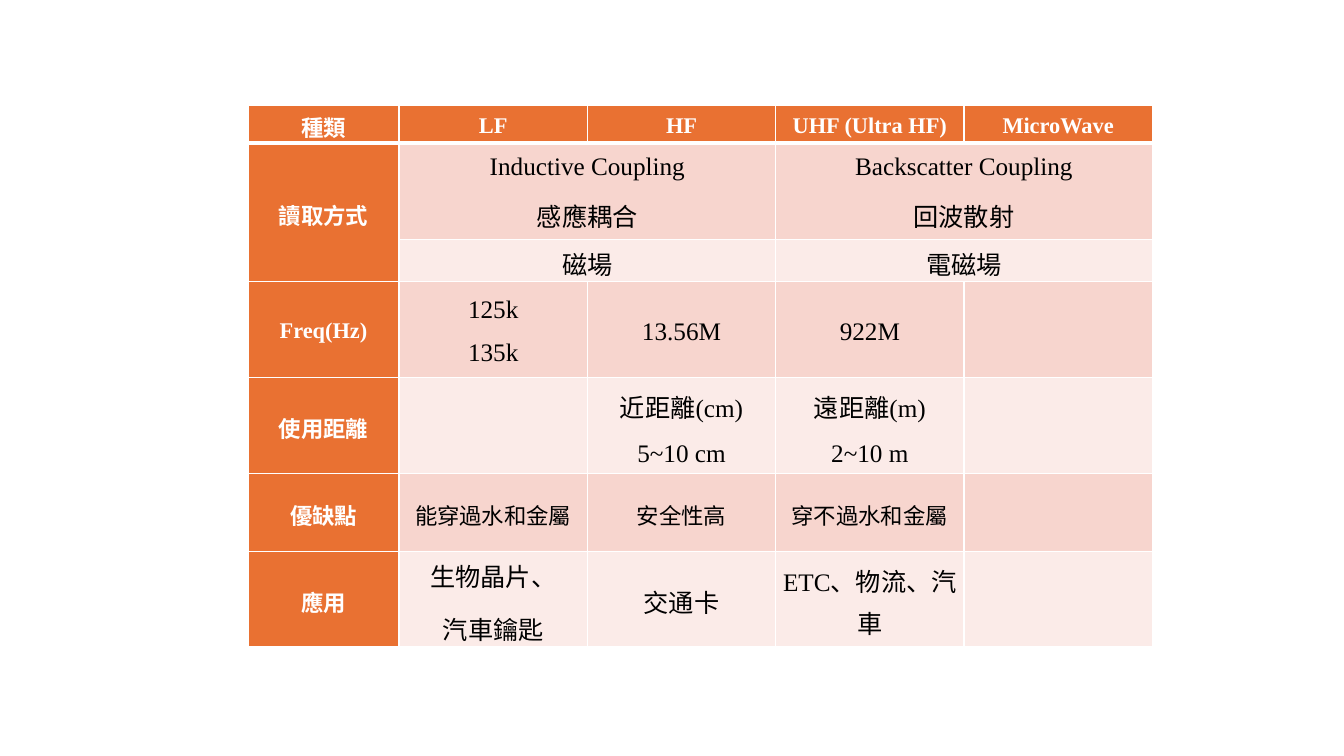
import pptx
import pptx.dml.color
import pptx.enum.text
import pptx.oxml
import pptx.oxml.ns
import pptx.util
from pptx.util import Inches

FONT = "Times New Roman"
WHITE, BLACK = "FFFFFF", "000000"
HEADING_FILL, DARK_BAND, LIGHT_BAND = "E97132", "F7D5CE", "FBEBE8"

COLUMN_WIDTHS = [1.5] + [1.87] * 4
ROW_HEIGHTS = [0.37, 0.95, 0.37, 0.95, 0.95, 0.77, 0.77]
ROWS = [
    ["種類", "LF", "HF", "UHF (Ultra HF)", "MicroWave"],
    ["讀取方式", "Inductive Coupling\n感應耦合", "", "Backscatter Coupling\n回波散射", ""],
    ["", "磁場", "", "電磁場", ""],
    ["Freq(Hz)", "125k\n135k", "13.56M", "922M", ""],
    ["使用距離", "", "近距離(cm)\n5~10 cm", "遠距離(m)\n2~10 m", ""],
    ["優缺點", "能穿過水和金屬", "安全性高", "穿不過水和金屬", ""],
    ["應用", "生物晶片、\n汽車鑰匙", "交通卡", "ETC、物流、汽車", ""],
]
MERGES = [((1, 0), (2, 0))] + [
    ((row, column), (row, column + 1)) for row in (1, 2) for column in (1, 3)
]
PROS_AND_CONS_ROW = 5


def color(value):
    return pptx.dml.color.RGBColor.from_string(value)


def write_text(text_frame, text, size, font_color, bold=False):
    """Write each line of the text as one centred paragraph."""
    for index, line in enumerate(text.split("\n")):
        paragraph = text_frame.add_paragraph() if index else text_frame.paragraphs[0]
        paragraph.alignment = pptx.enum.text.PP_ALIGN.CENTER
        paragraph.line_spacing = 1.15
        paragraph.space_after = pptx.util.Pt(8)
        run = paragraph.add_run()
        run.text = line
        run.font.name = FONT
        run.font.size = pptx.util.Pt(size)
        run.font.bold = bold
        run.font.color.rgb = color(font_color)


def set_borders(cell, top=1, bottom=1):
    """Draw white borders, with widths in points."""
    properties = cell._tc.get_or_add_tcPr()
    widths = {"lnL": 1, "lnR": 1, "lnT": top, "lnB": bottom}
    for position, (side, width) in enumerate(widths.items()):
        border = pptx.oxml.parse_xml(
            f'<a:{side} {pptx.oxml.ns.nsdecls("a")} w="{pptx.util.Pt(width)}">'
            f'<a:solidFill><a:srgbClr val="{WHITE}"/></a:solidFill></a:{side}>'
        )
        properties.insert(position, border)


def format_cell(cell, row, column):
    heading = row == 0 or column == 0
    cell.margin_left = cell.margin_right = Inches(0.07)
    cell.margin_top = cell.margin_bottom = 0
    cell.vertical_anchor = pptx.enum.text.MSO_ANCHOR.MIDDLE
    cell.fill.solid()
    band = DARK_BAND if row % 2 else LIGHT_BAND
    cell.fill.fore_color.rgb = color(HEADING_FILL if heading else band)
    set_borders(cell, top=3 if row == 1 else 1, bottom=3 if row == 0 else 1)
    if ROWS[row][column]:
        write_text(
            cell.text_frame,
            ROWS[row][column],
            size=16 if heading or row == PROS_AND_CONS_ROW else 18,
            font_color=WHITE if heading else BLACK,
            bold=heading,
        )


def add_frequency_table(slide, left, top, width, height):
    frame = slide.shapes.add_table(
        len(ROWS), len(COLUMN_WIDTHS),
        Inches(left), Inches(top), Inches(width), Inches(height),
    )
    table = frame.table
    for column, share in zip(table.columns, COLUMN_WIDTHS):
        column.width = Inches(width * share / sum(COLUMN_WIDTHS))
    for row, share in zip(table.rows, ROW_HEIGHTS):
        row.height = Inches(height * share / sum(ROW_HEIGHTS))
    for start, end in MERGES:
        table.cell(*start).merge(table.cell(*end))
    for row in range(len(ROWS)):
        for column in range(len(COLUMN_WIDTHS)):
            format_cell(table.cell(row, column), row, column)


def main():
    presentation = pptx.Presentation()
    presentation.slide_width = Inches(13.33)
    presentation.slide_height = Inches(7.5)
    slide = presentation.slides.add_slide(presentation.slide_layouts[6])
    add_frequency_table(slide, 2.46, 1.05, 8.97, 5.15)
    presentation.save("out.pptx")


if __name__ == "__main__":
    main()
